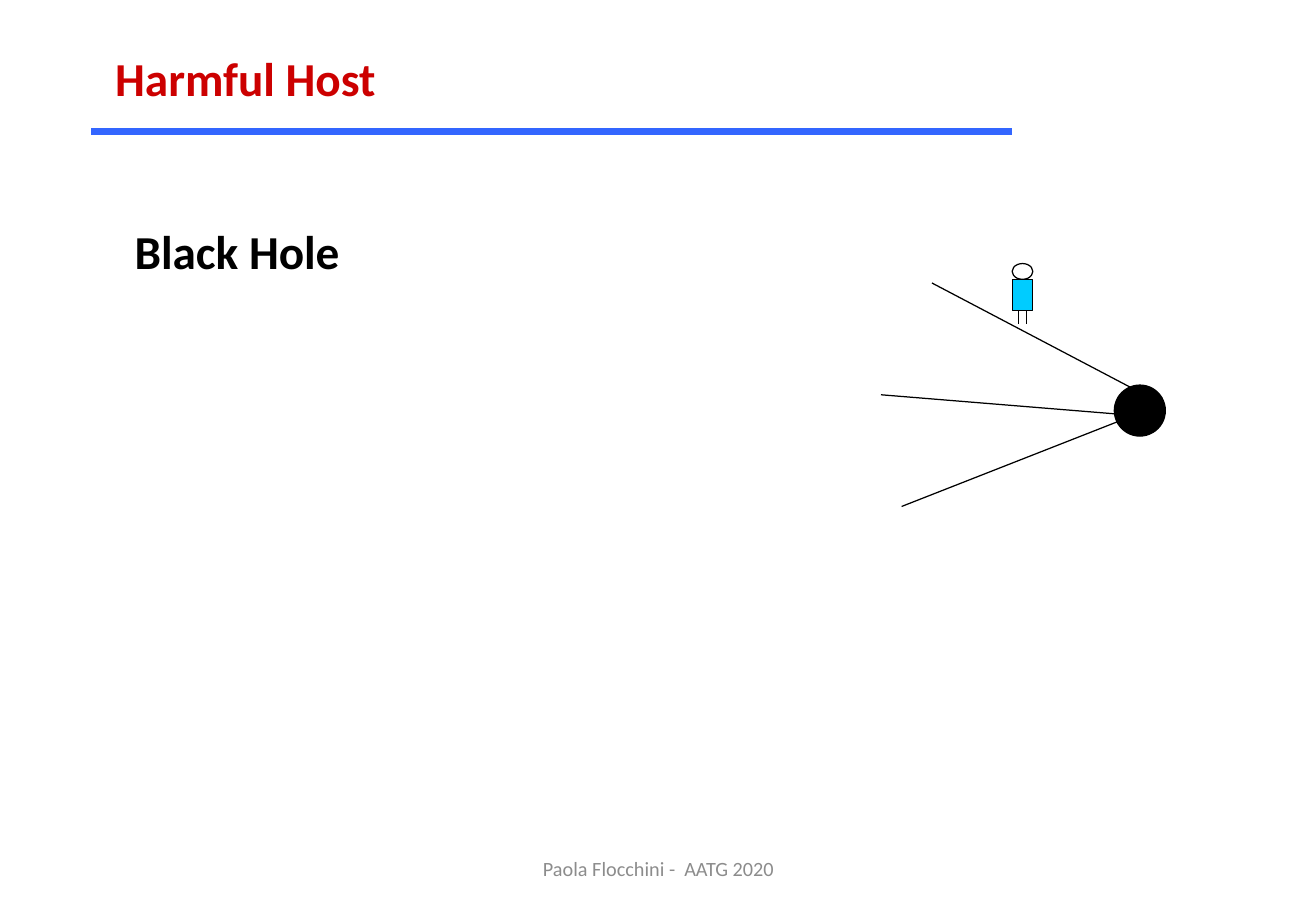
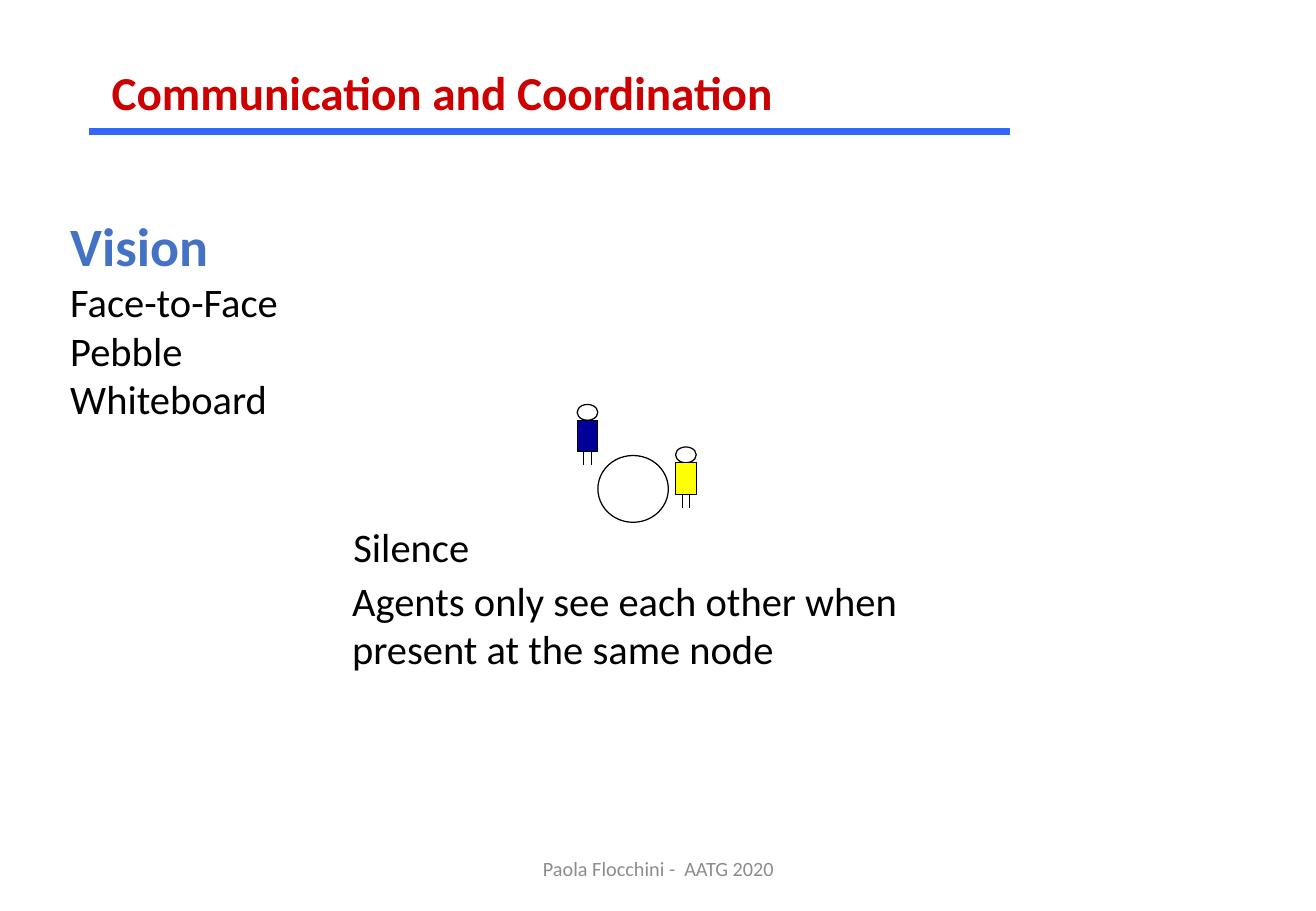
from lxml import etree
from pptx import Presentation
from pptx.dml.color import RGBColor
from pptx.enum.shapes import MSO_CONNECTOR, MSO_SHAPE
from pptx.enum.text import MSO_ANCHOR, PP_ALIGN
from pptx.oxml.ns import qn
from pptx.util import Inches, Pt

STRAIGHT = MSO_CONNECTOR.STRAIGHT
OVAL, RECTANGLE = MSO_SHAPE.OVAL, MSO_SHAPE.RECTANGLE
TOP, MIDDLE = MSO_ANCHOR.TOP, MSO_ANCHOR.MIDDLE
LEFT, CENTER = PP_ALIGN.LEFT, PP_ALIGN.CENTER

BLACK = RGBColor(0x00, 0x00, 0x00)
WHITE = RGBColor(0xFF, 0xFF, 0xFF)
GREY = RGBColor(0x8C, 0x8C, 0x8C)
TITLE_RED = RGBColor(0xCC, 0x00, 0x00)
RULE_BLUE = RGBColor(0x33, 0x66, 0xFF)
HEADING_BLUE = RGBColor(0x44, 0x72, 0xC4)
CYAN = RGBColor(0x00, 0xCC, 0xFF)
NAVY = RGBColor(0x00, 0x00, 0x99)
YELLOW = RGBColor(0xFF, 0xFF, 0x00)

FONT = "Calibri"
FOOTER = "Paola Flocchini -  AATG 2020"


def write(paragraph, text, size=24, color=BLACK, bold=False, align=LEFT):
    """Write one formatted run into a paragraph."""
    paragraph.alignment = align
    run = paragraph.add_run()
    run.text = text
    font = run.font
    font.name, font.size, font.bold = FONT, Pt(size), bold
    font.color.rgb = color


class Deck:
    """Holds the presentation, its style and the current slide."""

    def __init__(self, width, height):
        """Start an empty presentation of the given size in inches."""
        self.presentation = Presentation()
        self.presentation.slide_width = Inches(width)
        self.presentation.slide_height = Inches(height)
        self.slide = None

    def new_slide(self, title, title_box, rule_left):
        """Add a slide with the shared footer, title and title rule."""
        self.slide = self.presentation.slides.add_slide(
            self.presentation.slide_layouts[6])
        self.text(3.59, 6.95, 3.66, 0.4, [FOOTER], anchor=MIDDLE,
                  size=12, color=GREY, align=CENTER)
        self.line((rule_left, 1.08), (rule_left + 7.58, 1.08),
                  color=RULE_BLUE, weight=4)
        self.text(*title_box, [title], size=28, color=TITLE_RED, bold=True)

    def text(self, left, top, width, height, lines, anchor=TOP, **style):
        """Add a text box with one paragraph per line and return its frame."""
        frame = self.slide.shapes.add_textbox(
            Inches(left), Inches(top), Inches(width), Inches(height)).text_frame
        frame.word_wrap = True
        frame.vertical_anchor = anchor
        for number, line in enumerate(lines):
            paragraph = frame.add_paragraph() if number else frame.paragraphs[0]
            write(paragraph, line, **style)
        return frame

    def line(self, start, end, color=BLACK, weight=0.75, shapes=None):
        """Draw a straight line, on the slide or inside a group."""
        shapes = self.slide.shapes if shapes is None else shapes
        edge = shapes.add_connector(
            STRAIGHT, *(Inches(value) for value in (*start, *end)))
        edge.line.color.rgb = color
        edge.line.width = Pt(weight)
        etree.SubElement(edge._element.spPr, qn("a:effectLst"))

    def shape(self, kind, left, top, width, height, fill=None, shapes=None):
        """Draw a thinly outlined shape, on the slide or inside a group."""
        shapes = self.slide.shapes if shapes is None else shapes
        outline = shapes.add_shape(kind, Inches(left), Inches(top),
                                   Inches(width), Inches(height))
        outline.shadow.inherit = False
        outline.line.color.rgb = BLACK
        outline.line.width = Pt(0.75)
        if fill is None:
            outline.fill.background()
        else:
            outline.fill.solid()
            outline.fill.fore_color.rgb = fill

    def agent(self, left, top, body, head=WHITE):
        """Draw an agent as a group: head, coloured body and two legs."""
        parts = self.slide.shapes.add_group_shape().shapes
        self.shape(OVAL, left, top, 0.17, 0.13, head, parts)
        self.shape(RECTANGLE, left, top + 0.13, 0.17, 0.26, body, parts)
        for leg in (left + 0.055, left + 0.115):
            self.line((leg, top + 0.39), (leg, top + 0.5), shapes=parts)


def harmful_host(deck):
    """Build the slide with an agent on a path to the black hole."""
    deck.new_slide("Harmful Host", (0.85, 0.36, 2.37, 0.57), 0.75)
    deck.text(1.01, 1.78, 1.91, 0.57, ["Black Hole"], size=28, bold=True)
    deck.shape(OVAL, 9.17, 3.17, 0.42, 0.42, BLACK)
    for start, end in (((7.67, 2.33), (9.42, 3.25)),
                       ((7.25, 3.25), (9.33, 3.42)),
                       ((7.42, 4.17), (9.33, 3.42))):
        deck.line(start, end)
    deck.agent(8.33, 2.17, CYAN, head=None)


def communication(deck):
    """Build the slide with two agents meeting at a node."""
    deck.new_slide("Communication and Coordination",
                   (0.82, 0.47, 5.79, 0.57), 0.73)
    means = deck.text(0.48, 1.7, 1.93, 1.85, ["Vision"],
                      size=32, color=HEADING_BLUE, bold=True)
    for name in ("Face-to-Face", "Pebble", "Whiteboard"):
        write(means.add_paragraph(), name)
    deck.shape(OVAL, 4.92, 3.75, 0.58, 0.55)
    deck.agent(4.75, 3.33, NAVY)
    deck.agent(5.56, 3.68, YELLOW)
    deck.text(2.81, 4.25, 1.17, 0.5, ["Silence"])
    deck.text(2.8, 4.69, 4.8, 0.91, ["Agents only see each other when",
                                    "present at the same node"])


deck = Deck(10.83, 7.5)
harmful_host(deck)
communication(deck)
deck.presentation.save("out.pptx")
